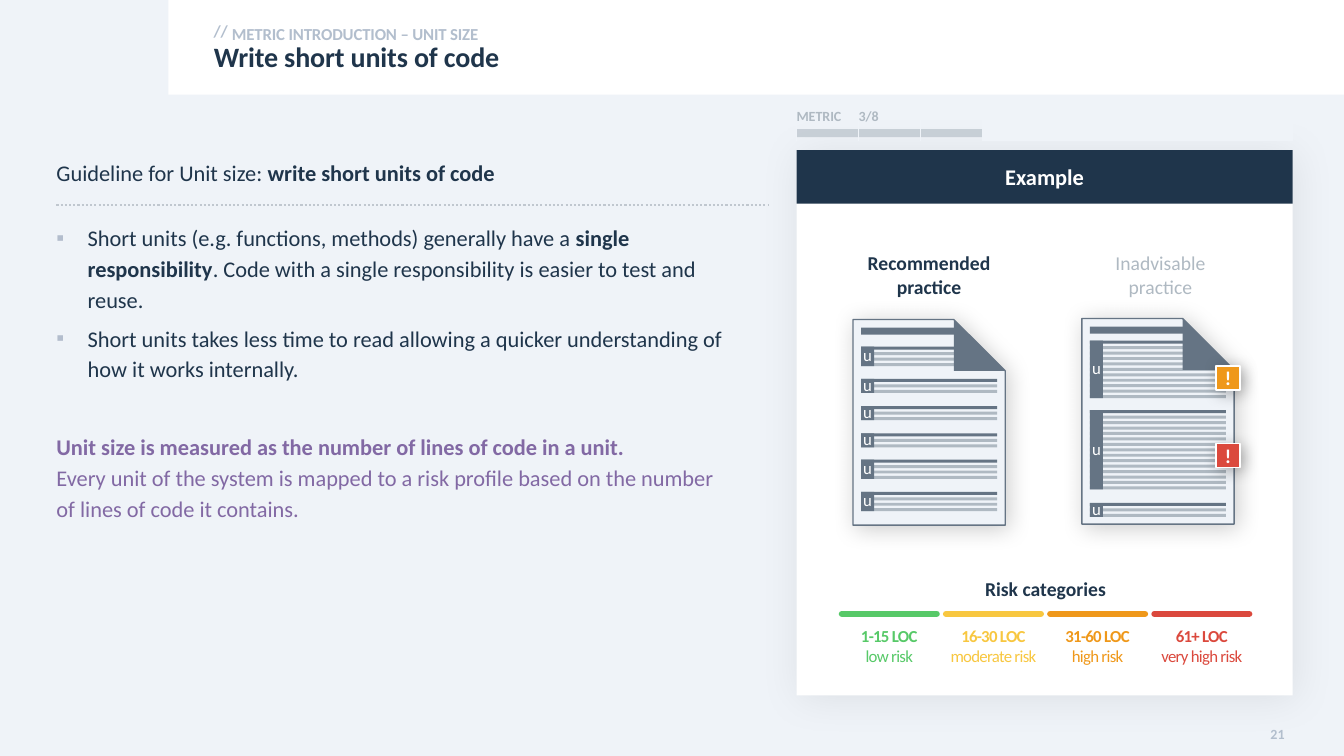
"""Build the unit size guideline slide with its code page examples and risk scale."""
from lxml.etree import SubElement
from pptx import Presentation
from pptx.dml.color import RGBColor
from pptx.enum.dml import MSO_LINE
from pptx.enum.shapes import MSO_CONNECTOR, MSO_SHAPE as Kind
from pptx.enum.text import MSO_ANCHOR as Anchor, MSO_AUTO_SIZE, PP_ALIGN as Align
from pptx.oxml.ns import qn
from pptx.util import Inches, Pt

COLORS = {
    "back": "EFF3F8", "white": "FFFFFF", "navy": "1F354B", "label": "B2BECD",
    "bullet": "B3BDCD", "gray": "AFB9C2", "slate": "657484", "dots": "C0C7CF",
    "purple": "8269A4", "green": "57C968", "yellow": "F8C740", "orange": "EF981A",
    "red": "DB493D",
}
RGB = {name: RGBColor.from_string(value) for name, value in COLORS.items()}


def style(shape, fill, line=None, shadow=None):
    """Fill and outline a shape, with an optional (opacity, blur, distance) shadow."""
    shape.fill.solid()
    shape.fill.fore_color.rgb = RGB[fill]
    if line:
        shape.line.color.rgb = RGB[line]
        shape.line.width = Pt(1)
    else:
        shape.line.fill.background()
    shape.shadow.inherit = False
    if shadow:
        opacity, blur, distance = shadow
        effects = shape._element.spPr.find(qn("a:effectLst"))
        outer = SubElement(effects, qn("a:outerShdw"), blurRad=str(Pt(blur)),
                           dist=str(Pt(distance)), dir="2700000", algn="tl", rotWithShape="0")
        tint = SubElement(outer, qn("a:srgbClr"), val="000000")
        SubElement(tint, qn("a:alpha"), val=str(opacity * 1000))


def write(frame, paragraphs, size, color, bold=False, spacing=0, margins=(0, 0, 0, 0),
          anchor=Anchor.TOP, wrap=True, **layout):
    """Write paragraphs of (text, font changes) spans into a text frame."""
    sides = ("margin_left", "margin_top", "margin_right", "margin_bottom")
    settings = {side: Inches(value) for side, value in zip(sides, margins)}
    settings.update(word_wrap=wrap, auto_size=MSO_AUTO_SIZE.NONE, vertical_anchor=anchor)
    for name, value in settings.items():
        setattr(frame, name, value)
    for index, (changes, spans) in enumerate(paragraphs):
        para = frame.add_paragraph() if index else frame.paragraphs[0]
        para_format = {"space_before": Pt(0), "alignment": Align.LEFT, **layout, **changes}
        for name, value in para_format.items():
            setattr(para, name, value)
        for text, font_changes in spans:
            span = para.add_run()
            span.text = text
            font_format = {"name": "Calibri", "size": Pt(size), "bold": bold, **font_changes}
            for name, value in font_format.items():
                setattr(span.font, name, value)
            span.font.color.rgb = RGB[color if index < 3 else "purple"]
            if spacing:
                span._r.get_or_add_rPr().set("spc", str(int(spacing * 100)))


deck = Presentation()
deck.slide_width, deck.slide_height = Inches(13.33), Inches(7.5)
page = deck.slides.add_slide(deck.slide_layouts[3])
page.background.fill.solid()
page.background.fill.fore_color.rgb = RGB["back"]
shapes = page.shapes

header = shapes.add_shape(Kind.RECTANGLE, *map(Inches, (1.67, 0, 11.66, 0.94)))
style(header, "white")
shapes._spTree.insert(2, header._element)

title, guideline, kicker = shapes.title, page.placeholders[1], page.placeholders[2]
places = [(title, (2.12, 0.43, 10.73, 0.31)), (kicker, (2.3, 0.19, 10.54, 0.24)),
          (guideline, (0.56, 1.49, 6.72, 5.41))]
for holder, place in places:
    holder.left, holder.top, holder.width, holder.height = map(Inches, place)

write(title.text_frame, [({}, [("Write short units of code", {})])], 20, "navy", True, -0.1,
      line_spacing=0.9)
write(kicker.text_frame, [({}, [("METRIC INTRODUCTION – UNIT SIZE", {})])], 12, "label", True,
      -0.1, margins=(0, 0.02, 0.1, 0), line_spacing=1.14)
strong = {"bold": True}
write(guideline.text_frame, [
    ({"space_after": Pt(25)}, [("Guideline for Unit size: ", {}),
                               ("write short units of code", strong)]),
    ({}, [("Short units (e.g. functions, methods) generally have a ", {}),
          ("single responsibility", strong),
          (". Code with a single responsibility is easier to test and reuse.", {})]),
    ({}, [("Short units takes less time to read allowing a quicker understanding of "
           "how it works internally.", {})]),
    ({"space_before": Pt(28), "space_after": Pt(0)},
     [("Unit size is measured as the number of lines of code in a unit.", strong)]),
    ({}, [("Every unit of the system is mapped to a risk profile based on the number "
           "of lines of code it contains.", {})]),
], 16, "navy", margins=(0, 0.05, 0, 0.05), line_spacing=1.14, space_after=Pt(6))

bulleted = guideline.text_frame.paragraphs[1:3]
for para in kicker.text_frame.paragraphs + guideline.text_frame.paragraphs:
    props = para._p.get_or_add_pPr()
    indent = Inches(0.31) if any(para._p is item._p for item in bulleted) else 0
    props.set("marL", str(indent))
    props.set("indent", str(-indent))
    if indent:
        SubElement(SubElement(props, qn("a:buClr")), qn("a:srgbClr"), val=COLORS["bullet"])
        SubElement(props, qn("a:buChar"), char="▪")
    else:
        SubElement(props, qn("a:buNone"))

card = shapes.add_shape(Kind.RECTANGLE, *map(Inches, (7.9, 1.49, 4.92, 5.41)))
style(card, "white", shadow=(7, 30, 3))
banner = shapes.add_shape(Kind.RECTANGLE, *map(Inches, (7.9, 1.49, 4.92, 0.53)))
style(banner, "navy")
write(banner.text_frame, [({}, [("Example", {})])], 16, "white", True,
      margins=(0, 0.08, 0, 0.08), anchor=Anchor.MIDDLE, alignment=Align.CENTER)

labels = [
    ((2.02, 0.16, 0.37, 0.3), "//", 12, "label", True,
     {"spacing": -0.1, "margins": (0.1, 0.05, 0.1, 0.05), "anchor": Anchor.MIDDLE,
      "wrap": False}),
    ((12.57, 7.16, 0.27, 0.26), "21", 10, "label", True,
     {"spacing": 0.1, "margins": (0, 0.04, 0.1, 0.05), "anchor": Anchor.MIDDLE,
      "wrap": False, "alignment": Align.RIGHT}),
    ((8.46, 2.49, 1.51, 0.5), "Recommended practice", 14, "navy", True,
     {"alignment": Align.CENTER}),
    ((10.76, 2.49, 1.5, 0.5), "Inadvisable practice", 14, "gray", False,
     {"alignment": Align.CENTER}),
    ((8.35, 5.72, 4.04, 0.29), "Risk categories", 14, "navy", True,
     {"alignment": Align.CENTER}),
]
for place, text, size, color, bold, options in labels:
    box = shapes.add_textbox(*map(Inches, place))
    write(box.text_frame, [({}, [(text, {})])], size, color, bold, **options)

risks = [("green", "1-15 LOC", "low risk"), ("yellow", "16-30 LOC", "moderate risk"),
         ("orange", "31-60 LOC", "high risk"), ("red", "61+ LOC", "very high risk")]
rules = [(0.56, 7.63, 2.03, "dots", 1.5)]
for index, (color, lines, level) in enumerate(risks):
    left = 8.35 + index * 3.1 / 3
    rules.append((left, left + 0.94, 6.09, color, 4.5))
    box = shapes.add_textbox(*map(Inches, (left, 6.16, 0.94, 0.49)))
    write(box.text_frame, [({}, [(lines, strong)]), ({}, [(level, {})])], 12, color,
          spacing=-0.5, margins=(0.1, 0.05, 0.1, 0.05), wrap=False, alignment=Align.CENTER)
for start, end, top, color, width in rules:
    rule = shapes.add_connector(MSO_CONNECTOR.STRAIGHT, *map(Inches, (start, top, end, top)))
    rule.line.color.rgb = RGB[color]
    rule.line.width = Pt(width)
    if color == "dots":
        rule.line.dash_style = MSO_LINE.ROUND_DOT
    else:
        rule.line._get_or_add_ln().set("cap", "rnd")
    SubElement(rule._element.spPr, qn("a:effectLst"))

PITCH, STROKE, LINE_WIDTH, FOLD = 0.27 / 5, 0.03, 1.35, 0.51
code_pages = [
    (8.46, 3.17, [(3.44, 4), (3.76, 3), (4.03, 3), (4.3, 3), (4.56, 4), (4.88, 4)], []),
    (10.73, 3.16, [(3.38, 11), (4.07, 15), (4.99, 3)], [(4.4, "red"), (3.63, "orange")]),
]
for left, top, units, warnings in code_pages:
    group = shapes.add_group_shape().shapes
    right, bottom, fold_left = left + 1.51, top + 2.04, left + 1.0
    corners = [(fold_left, top), (right, top + FOLD), (right, bottom), (left, bottom)]
    outline = group.build_freeform(Inches(left), Inches(top))
    outline.add_line_segments([(Inches(x), Inches(y)) for x, y in corners], close=True)
    style(outline.convert_to_shape(), "back", "slate", (20, 17, 3))

    margin = left + 0.08
    bars = [(top + 0.08, 0.98, 0.07, "slate")]
    for unit_top, count in units:
        for number in range(count):
            y = unit_top + number * PITCH
            width = min(LINE_WIDTH, 0.89 + y - top)
            bars.append((y, width, STROKE, "gray" if number else "slate"))
    for y, width, height, color in bars:
        bar = group.add_shape(Kind.RECTANGLE, *map(Inches, (margin, y, width, height)))
        style(bar, color)
    fold = group.add_shape(Kind.RIGHT_TRIANGLE, *map(Inches, (fold_left, top, FOLD, FOLD)))
    style(fold, "slate")
    for unit_top, count in units:
        height = (count - 1) * PITCH + STROKE
        tag = group.add_shape(Kind.RECTANGLE, *map(Inches, (margin, unit_top, 0.13, height)))
        style(tag, "slate")
        write(tag.text_frame, [({}, [("u", {})])], 12, "white", margins=(0, 0.02, 0, 0.05),
              anchor=Anchor.MIDDLE, alignment=Align.CENTER)
    for y, color in warnings:
        alert = group.add_shape(Kind.RECTANGLE, *map(Inches, (12.06, y, 0.24, 0.24)))
        style(alert, color, "white", (30, 11, 3))
        write(alert.text_frame, [({}, [("!", {})])], 14, "white", True, alignment=Align.CENTER)

track = shapes.add_shape(Kind.RECTANGLE, *map(Inches, (7.9, 1.28, 4.92, 0.08)))
style(track, "gray")
SubElement(track._element.spPr.find(".//" + qn("a:srgbClr")), qn("a:alpha"), val="60000")

progress = shapes.add_table(1, 8, *map(Inches, (7.9, 1.07, 4.92, 0.33))).table
progress.first_row = progress.horz_banding = False
for index, cell in enumerate(progress.rows[0].cells):
    progress.columns[index].width = Inches(4.92 / 8)
    text = ("METRIC", "3/8")[index] if index < 2 else ""
    write(cell.text_frame, [({}, [(text, {})] if text else [])], 10, "gray", True)
    cell.margin_left = cell.margin_top = cell.margin_right = cell.margin_bottom = 0
    props = cell._tc.get_or_add_tcPr()
    for side in "LRTB":
        border = SubElement(props, qn("a:ln" + side), w=str(Pt(1)))
        if side in "LR":
            SubElement(SubElement(border, qn("a:solidFill")), qn("a:srgbClr"), val=COLORS["back"])
        else:
            SubElement(border, qn("a:noFill"))
    if index < 3:
        cell.fill.background()
    else:
        cell.fill.solid()
        cell.fill.fore_color.rgb = RGB["back"]

deck.save("out.pptx")
